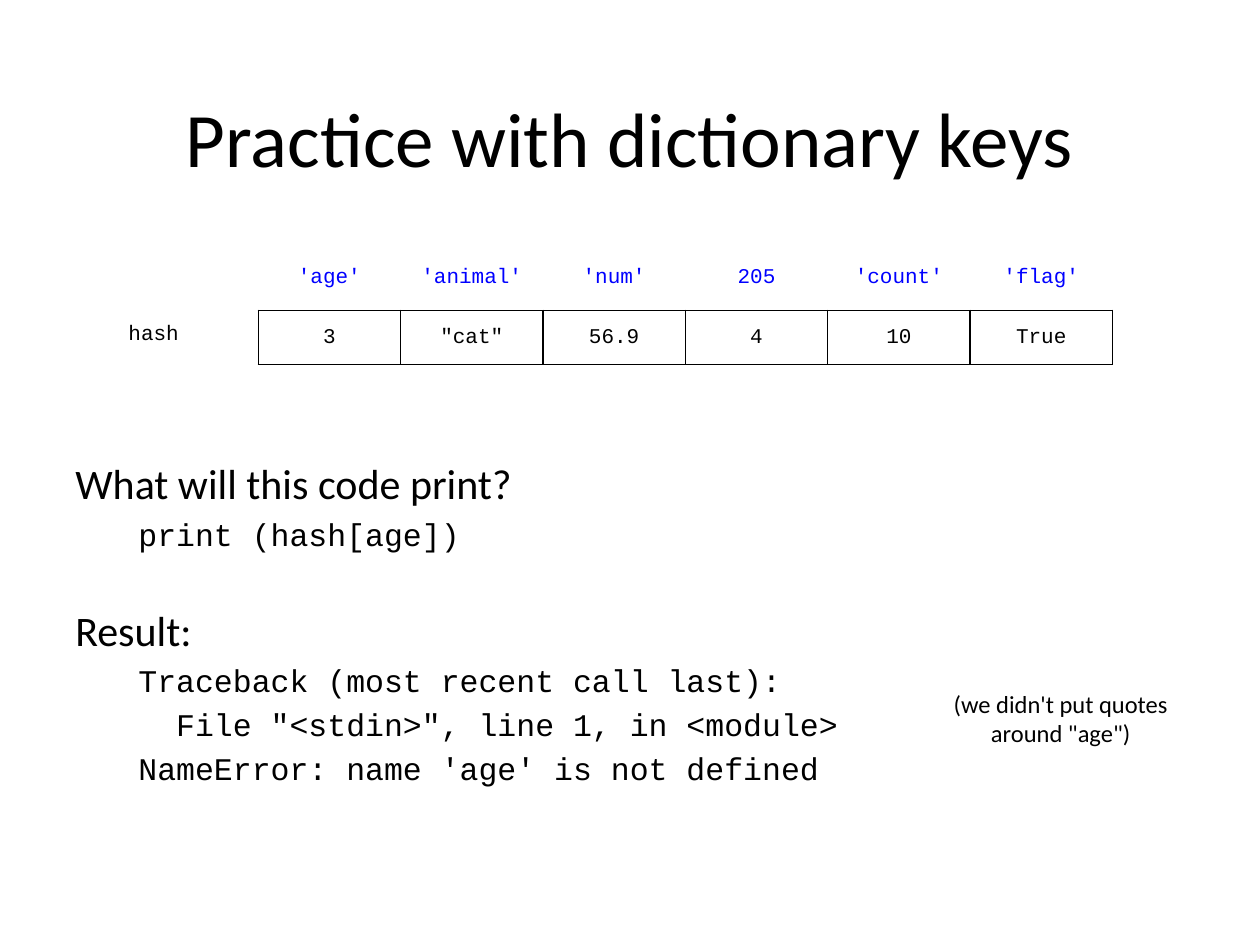
from lxml import etree
from pptx import Presentation
from pptx.dml.color import RGBColor
from pptx.enum.text import MSO_ANCHOR, PP_ALIGN
from pptx.oxml.ns import qn
from pptx.util import Pt

LEFT, CENTER = PP_ALIGN.LEFT, PP_ALIGN.CENTER
TOP, BOTTOM = MSO_ANCHOR.TOP, MSO_ANCHOR.BOTTOM
SANS, MONO = "Calibri", "Courier New"
COLORS = {"text": "000000", "key": "0000FF", "border": "000000"}

KEYS = ["'age'", "'animal'", "'num'", "205", "'count'", "'flag'"]
VALUES = ["3", '"cat"', "56.9", "4", "10", "True"]
COL_W, ROW_HEIGHTS = 81.36, (34.6, 31)

# Each line: text, is code, space before
BODY = [
    ("What will this code print?", False, 0),
    ("print (hash[age])", True, 3.6),
    ("Result:", False, 29.6),
    ("Traceback (most recent call last):", True, 3.6),
    ('  File "<stdin>", line 1, in <module>', True, 3.6),
    ("NameError: name 'age' is not defined", True, 3.6),
]


def format_paragraph(p, font, size, color="text", align=LEFT):
    p.alignment = align
    for r in p.runs:
        r.font.name = font
        r.font.size = Pt(size)
        r.font.color.rgb = RGBColor.from_string(COLORS[color])


def add_text_frame(slide, left, top, width, height, inset_y=7.2, anchor=TOP):
    sp = slide.shapes.add_textbox(Pt(left), Pt(top), Pt(width), Pt(height))
    tf = sp.text_frame
    tf.word_wrap = True
    tf.vertical_anchor = anchor
    tf.margin_left = tf.margin_right = Pt(7.2)
    tf.margin_top = tf.margin_bottom = Pt(inset_y)
    return tf


def add_body(slide):
    tf = add_text_frame(slide, 36, 254.4, 648, 228)
    for i, (text, is_code, space) in enumerate(BODY):
        p = tf.paragraphs[0] if i == 0 else tf.add_paragraph()
        p.text = text
        p.space_before = Pt(space)
        if is_code:
            format_paragraph(p, MONO, 18)
            p._p.get_or_add_pPr().set("marL", str(Pt(36)))
        else:
            format_paragraph(p, SANS, 24)


def set_borders(cell, sides):
    """Draw the named sides (of L, R, T, B) and clear the others."""
    tc_pr = cell._tc.get_or_add_tcPr()
    for i, side in enumerate("LRTB"):
        ln = etree.Element(qn("a:ln" + side), w=str(Pt(0.75)))
        if side in sides:
            fill = etree.SubElement(ln, qn("a:solidFill"))
            etree.SubElement(fill, qn("a:srgbClr"), val=COLORS["border"])
        else:
            etree.SubElement(ln, qn("a:noFill"))
        tc_pr.insert(i, ln)


def fill_cell(cell, text, sides, color="text", align=CENTER, spacing=1.15):
    cell.fill.background()
    cell.margin_left = cell.margin_right = Pt(7.2)
    # An empty cell must not stretch its row
    cell.margin_top = cell.margin_bottom = Pt(7.2 if text else 0)
    cell.text_frame.text = text
    p = cell.text_frame.paragraphs[0]
    p.line_spacing = spacing
    format_paragraph(p, MONO, 12, color, align)
    set_borders(cell, sides)


def add_dictionary_table(slide):
    n_cols = len(KEYS) + 1
    table = slide.shapes.add_table(
        2, n_cols, Pt(66.2), Pt(142.6), Pt(COL_W * n_cols), Pt(sum(ROW_HEIGHTS))
    ).table
    table.first_row = table.horz_banding = False
    for col in table.columns:
        col.width = Pt(COL_W)
    for row, height in zip(table.rows, ROW_HEIGHTS):
        row.height = Pt(height)

    fill_cell(table.cell(0, 0), "", "")
    fill_cell(table.cell(1, 0), "hash", "R", align=LEFT, spacing=1.0)
    for c, (key, value) in enumerate(zip(KEYS, VALUES), start=1):
        fill_cell(table.cell(0, c), key, "B", color="key")
        fill_cell(table.cell(1, c), value, "LRTB")


def main():
    prs = Presentation()
    prs.slide_width, prs.slide_height = Pt(720), Pt(540)
    slide = prs.slides.add_slide(prs.slide_layouts[6])

    # Title
    tf = add_text_frame(slide, 36, 21.6, 648, 90, anchor=BOTTOM)
    tf.text = "Practice with dictionary keys"
    format_paragraph(tf.paragraphs[0], SANS, 44, align=CENTER)

    # Question and result
    add_body(slide)

    # Dictionary keys over their values
    add_dictionary_table(slide)

    # Side note
    tf = add_text_frame(slide, 516.2, 390.2, 180, 41, inset_y=3.6)
    tf.text = "(we didn't put quotes around \"age\")"
    format_paragraph(tf.paragraphs[0], SANS, 14, align=CENTER)

    prs.save("out.pptx")


if __name__ == "__main__":
    main()
